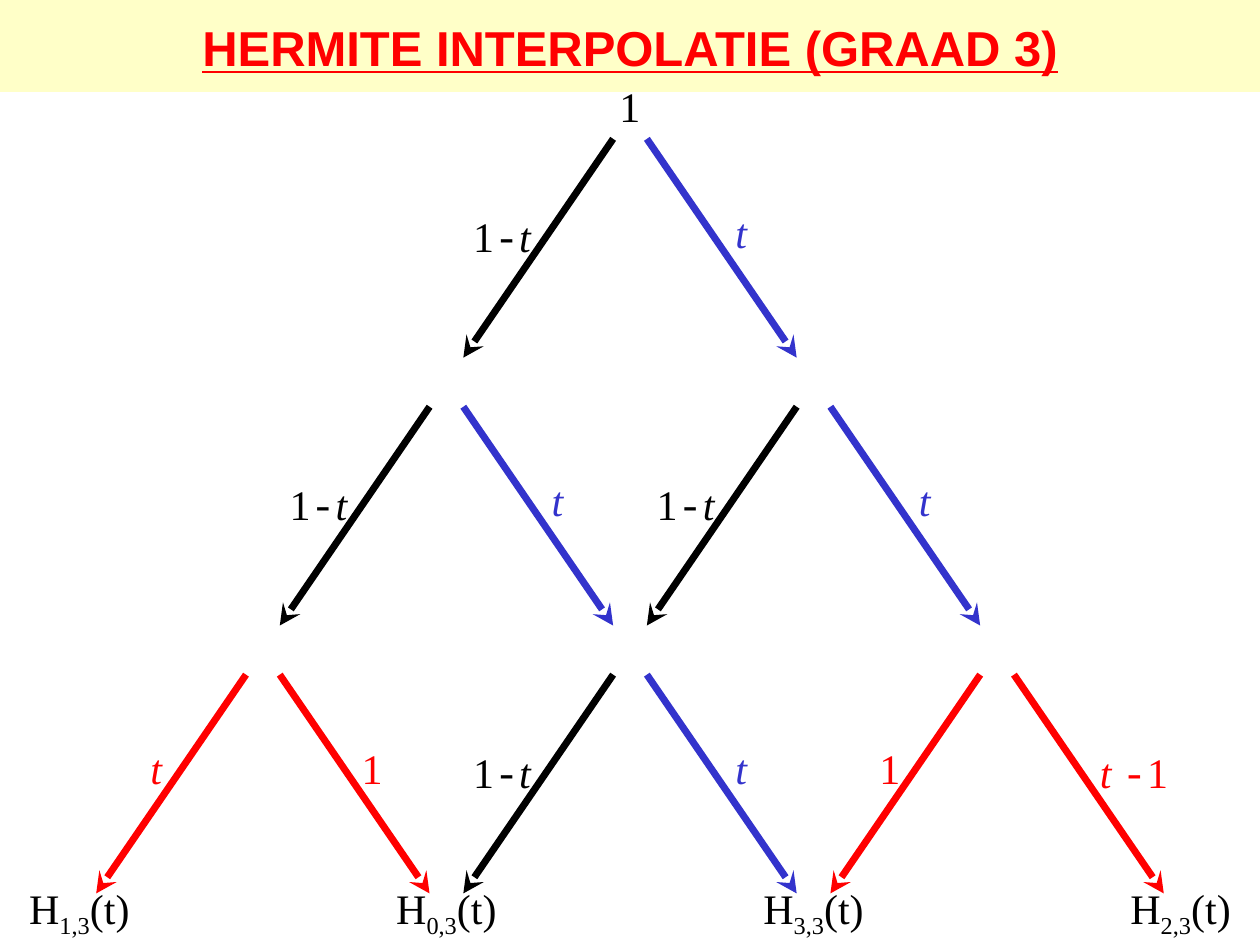
from lxml import etree
from pptx import Presentation
from pptx.dml.color import RGBColor
from pptx.enum.shapes import MSO_CONNECTOR, MSO_SHAPE
from pptx.enum.text import MSO_ANCHOR, MSO_AUTO_SIZE, PP_ALIGN
from pptx.oxml.ns import qn
from pptx.util import Cm, Pt

STRAIGHT = MSO_CONNECTOR.STRAIGHT
RECTANGLE = MSO_SHAPE.RECTANGLE
MIDDLE = MSO_ANCHOR.MIDDLE
CENTER = PP_ALIGN.CENTER
FIT_SHAPE = MSO_AUTO_SIZE.SHAPE_TO_FIT_TEXT

THEME = {
    "black": RGBColor(0x00, 0x00, 0x00),
    "blue": RGBColor(0x33, 0x33, 0xCC),
    "red": RGBColor(0xFF, 0x00, 0x00),
    "band": RGBColor(0xFF, 0xFF, 0xC8),
    "title_font": "Arial",
    "math_font": "Times New Roman",
    "minus_font": "Courier New",
    "title_size": Pt(28),
    "math_size": Pt(24),
    "arrow_width": Pt(4),
}

# Each label: its runs as (text, style), and the width of its box in cm
ONE = ([("1", "plain")], 0.94)
T = ([("t", "italic")], 0.74)
ONE_MINUS_T = ([("1", "plain"), ("-", "minus"), ("t", "italic")], 1.68)
T_MINUS_ONE = ([("t ", "italic"), ("-", "minus"), ("1", "plain")], 1.88)

# Triangle of nodes, in cm
APEX_X, HALF_STEP, ROW_STEP = 12.7, 3.7, 5.4
ARROW_TOP, ARROW_GAP, ARROW_RUN, ARROW_DROP = 2.8, 0.34, 3.02, 4.41
LABEL_HEIGHT = 1.27


def add_label(slide, label, center_x, center_y, color):
    runs, width = label
    box = slide.shapes.add_textbox(Cm(center_x - width / 2), Cm(center_y - LABEL_HEIGHT / 2),
                                   Cm(width), Cm(LABEL_HEIGHT))
    frame = box.text_frame
    frame.word_wrap = False
    frame.auto_size = FIT_SHAPE
    frame.vertical_anchor = MIDDLE
    paragraph = frame.paragraphs[0]
    paragraph.alignment = CENTER
    for text, style in runs:
        run = paragraph.add_run()
        run.text = text
        run.font.name = THEME["minus_font" if style == "minus" else "math_font"]
        run.font.size = THEME["math_size"]
        run.font.color.rgb = THEME[color]
        run.font.italic = style == "italic"
        if style == "subscript":
            run.font._element.set("baseline", "-25000")


def add_arrow(slide, start_x, start_y, end_x, end_y, color):
    arrow = slide.shapes.add_connector(STRAIGHT, Cm(start_x), Cm(start_y), Cm(end_x), Cm(end_y))
    arrow.line.color.rgb = THEME[color]
    arrow.line.width = THEME["arrow_width"]
    etree.SubElement(arrow.line._get_or_add_ln(), qn("a:tailEnd"), type="stealth")
    etree.SubElement(arrow._element.spPr, qn("a:effectLst"))


presentation = Presentation()
presentation.slide_width = Cm(25.4)
presentation.slide_height = Cm(19.05)
slide = presentation.slides.add_slide(presentation.slide_layouts[5])

# Band behind the title
band = slide.shapes.add_shape(RECTANGLE, 0, 0, presentation.slide_width, Cm(1.85))
band.shadow.inherit = False
band.fill.solid()
band.fill.fore_color.rgb = THEME["band"]
band.line.color.rgb = THEME["band"]
band.line.width = Pt(0)
slide.shapes._spTree.insert(2, band._element)

# Title
title = slide.shapes.title
title.left, title.top = 0, 0
title.width, title.height = presentation.slide_width, Cm(1.9)
title.text_frame.vertical_anchor = MIDDLE
paragraph = title.text_frame.paragraphs[0]
paragraph.alignment = CENTER
run = paragraph.add_run()
run.text = "HERMITE INTERPOLATIE (GRAAD 3)"
run.font.name = THEME["title_font"]
run.font.size = THEME["title_size"]
run.font.color.rgb = THEME["red"]
run.font.bold = True
run.font.underline = True

# Apex value and the basis functions under the triangle
add_label(slide, ONE, APEX_X, 2.13, "black")
for column, index in enumerate(("1,3", "0,3", "3,3", "2,3")):
    basis = ([("H", "plain"), (index, "subscript"), ("(t)", "plain")], 2.62)
    add_label(slide, basis, APEX_X + (2 * column - 3) * HALF_STEP, 18.36, "black")

# Two weighted arrows from every node: (label, label offset from node, colour)
INNER = (ONE_MINUS_T, -2.58, "black"), (T, 2.24, "blue")
OUTER_LEFT = (T, -2.15, "red"), (ONE, 2.2, "red")
OUTER_RIGHT = (ONE, -2.16, "red"), (T_MINUS_ONE, 2.76, "red")
ROWS = [[INNER], [INNER, INNER], [OUTER_LEFT, INNER, OUTER_RIGHT]]

for row, nodes in enumerate(ROWS):
    top = ARROW_TOP + row * ROW_STEP
    for column, branches in enumerate(nodes):
        node_x = APEX_X + (2 * column - row) * HALF_STEP
        for side, (label, offset, color) in zip((-1, 1), branches):
            start_x = node_x + side * ARROW_GAP
            add_arrow(slide, start_x, top, start_x + side * ARROW_RUN, top + ARROW_DROP, color)
            # Labels with a minus sign sit slightly lower
            drop = 1.95 if len(label[0]) > 1 else 1.88
            add_label(slide, label, node_x + offset, top + drop, color)

presentation.save("out.pptx")
